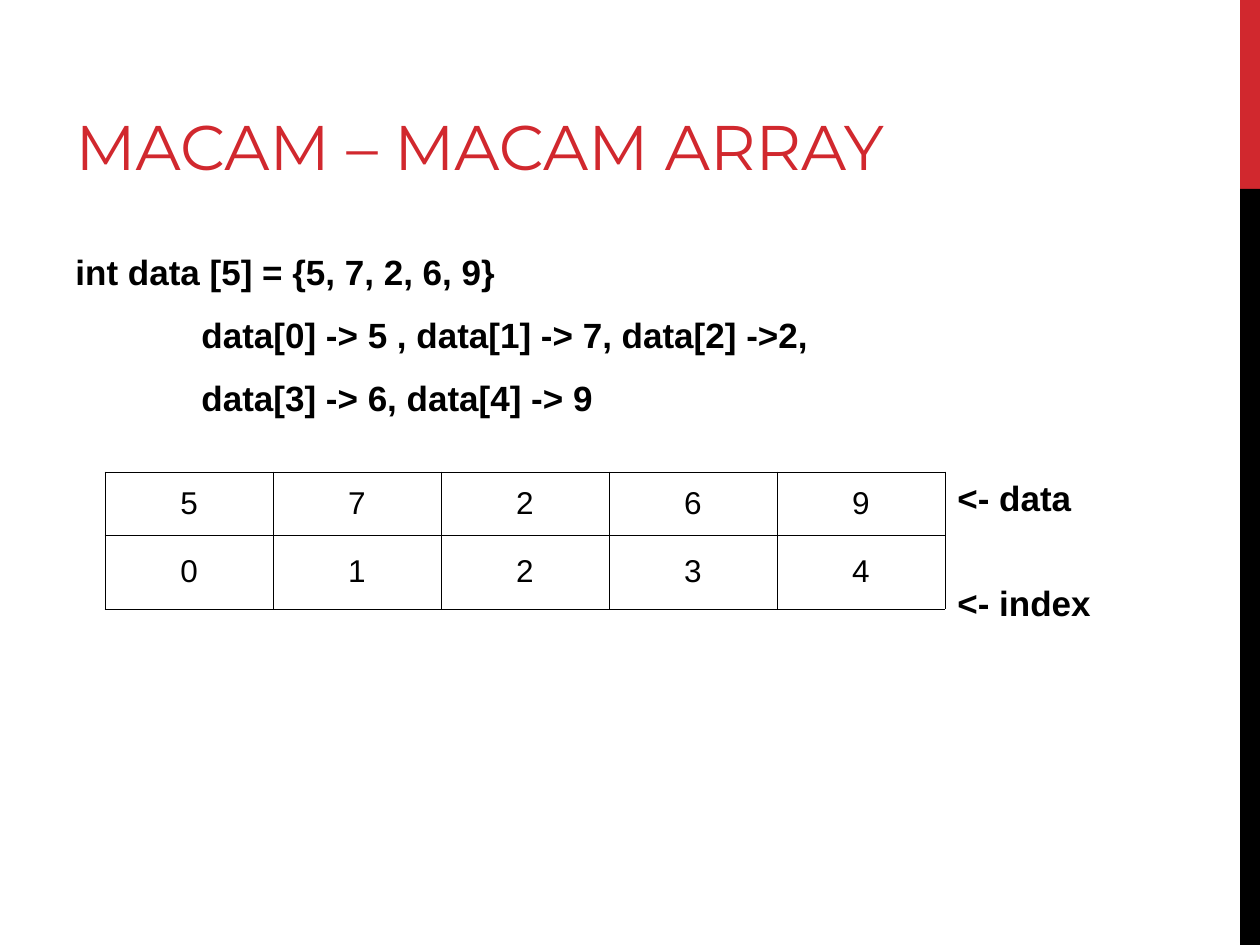
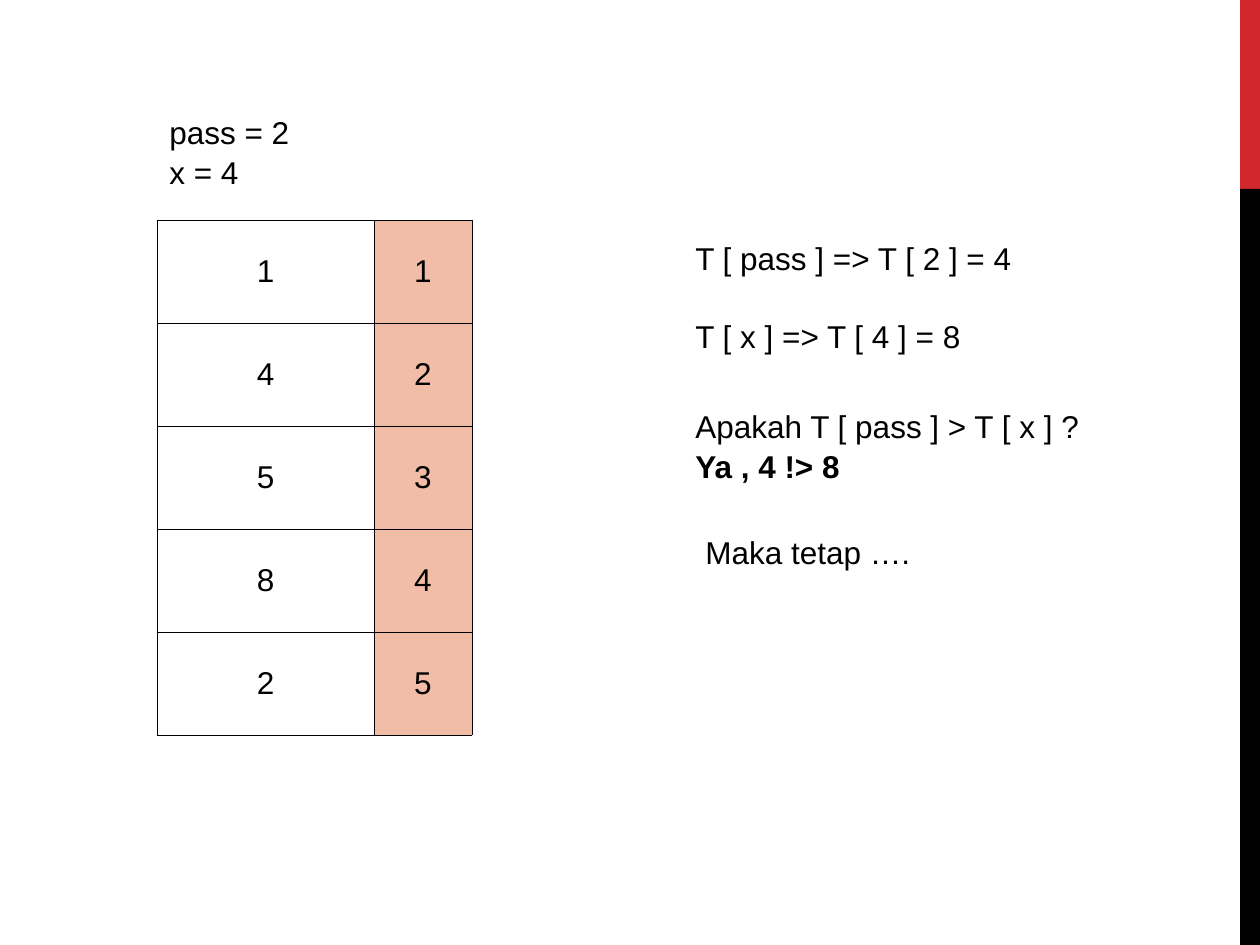
import pptx
import pptx.dml.color
import pptx.enum.shapes
import pptx.enum.text
import pptx.oxml
import pptx.oxml.ns
import pptx.util

RED = pptx.dml.color.RGBColor(0xD1, 0x28, 0x2E)
BLACK = pptx.dml.color.RGBColor(0x00, 0x00, 0x00)
PEACH = pptx.dml.color.RGBColor(0xF1, 0xBD, 0xA7)
BODY_FONT = "Arial"
TITLE_FONT = "Montserrat"
TITLE_ONLY, BLANK = 5, 6
BORDER_WIDTH = pptx.util.Pt(0.45)
ALIGN = pptx.enum.text.PP_ALIGN
ANCHOR = pptx.enum.text.MSO_ANCHOR


def px(length):
    return pptx.util.Emu(round(length * 914400 / 126))


def write(para, text, size=18, font=BODY_FONT, color=BLACK, bold=False,
          align=ALIGN.LEFT, indent=0, before=0, after=0, spacing=1.0):
    para.alignment = align
    para.space_before = pptx.util.Pt(before)
    para.space_after = pptx.util.Pt(after)
    para.line_spacing = spacing
    if indent:
        para._p.get_or_add_pPr().set("marL", str(px(indent)))
    span = para.add_run()
    span.text = text
    span.font.size = pptx.util.Pt(size)
    span.font.name = font
    span.font.bold = bold
    span.font.color.rgb = color


class Slides:
    def __init__(self):
        self.deck = pptx.Presentation()
        self.deck.slide_width = px(1260)
        self.deck.slide_height = px(945)
        self.page = None

    def add_page(self, layout):
        self.page = self.deck.slides.add_slide(self.deck.slide_layouts[layout])
        self.band(0, 189, RED)
        self.band(189, 756, BLACK)

    def band(self, top, height, color):
        shape = self.page.shapes.add_shape(
            pptx.enum.shapes.MSO_SHAPE.RECTANGLE,
            px(1240), px(top), px(20), px(height))
        shape.shadow.inherit = False
        shape.fill.solid()
        shape.fill.fore_color.rgb = color
        shape.line.fill.background()

    def title(self, text):
        box = self.page.shapes.title
        box.left, box.top, box.width, box.height = map(px, (63, 32, 1134, 157))
        box.text_frame.vertical_anchor = ANCHOR.BOTTOM
        write(box.text_frame.paragraphs[0], text,
              size=36, font=TITLE_FONT, color=RED)

    def text(self, left, top, width, height, *paras):
        box = self.page.shapes.add_textbox(*map(px, (left, top, width, height)))
        frame = box.text_frame
        frame.word_wrap = True
        for number, spans in enumerate(paras):
            para = frame.add_paragraph() if number else frame.paragraphs[0]
            for text, style in spans:
                write(para, text, spacing=1.05, **style)

    def table(self, left, top, widths, heights, rows, fills=()):
        table = self.page.shapes.add_table(
            len(heights), len(widths), px(left), px(top),
            px(sum(widths)), px(sum(heights))).table
        table.first_row = False
        table.horz_banding = False
        for column, width in zip(table.columns, widths):
            column.width = px(width)
        for row, height, values in zip(table.rows, heights, rows):
            row.height = px(height)
            for index, (cell, value) in enumerate(zip(row.cells, values)):
                self.borders(cell)
                if index in fills:
                    cell.fill.solid()
                    cell.fill.fore_color.rgb = PEACH
                else:
                    cell.fill.background()
                cell.vertical_anchor = ANCHOR.MIDDLE
                write(cell.text_frame.paragraphs[0], str(value),
                      align=ALIGN.CENTER)

    def borders(self, cell):
        for side in "LRTB":
            cell._tc.get_or_add_tcPr().append(pptx.oxml.parse_xml(
                f'<a:ln{side} {pptx.oxml.ns.nsdecls("a")} w="{BORDER_WIDTH}">'
                f'<a:solidFill><a:srgbClr val="{BLACK}"/></a:solidFill>'
                f'</a:ln{side}>'))


def array_page(slides):
    slides.add_page(TITLE_ONLY)
    slides.title("MACAM – MACAM ARRAY")
    code = dict(size=20, bold=True)
    entry = dict(code, indent=126, before=5, after=6)
    slides.text(
        63, 242, 1050, 602,
        [("int data [5] = {5, 7, 2, 6, 9}", dict(code, after=6))],
        [("data[0] -> 5 , data[1] -> 7, data[2] ->2,", entry)],
        [("data[3] -> 6, data[4] -> 9", entry)])
    slides.table(105, 472, [168] * 5, [63, 74], [[5, 7, 2, 6, 9], range(5)])
    slides.text(945, 468, 168, 160,
                [("<- data", code)],
                [("<- index", dict(code, before=35))])


def sorting_page(slides):
    slides.add_page(BLANK)
    values = [1, 4, 5, 8, 2]
    slides.table(157, 220, [217, 98], [103] * len(values),
                 [(value, index) for index, value in enumerate(values, 1)],
                 fills=(1,))
    slides.text(157, 105, 231, 88, [("pass = 2", {})], [("x = 4", {})])
    slides.text(683, 231, 451, 126,
                [("T [ pass ] => T [ 2 ] = 4", {})],
                [("T [ x ] => T [ 4 ] = 8", dict(before=22))])
    slides.text(683, 399, 431, 88,
                [("Apakah T [ pass ] > T [ x ] ? ", {}),
                 ("Ya , 4 !> 8", dict(bold=True))])
    slides.text(693, 525, 399, 50, [("Maka tetap ….", {})])


def main():
    slides = Slides()
    array_page(slides)
    sorting_page(slides)
    slides.deck.save("out.pptx")


if __name__ == "__main__":
    main()
